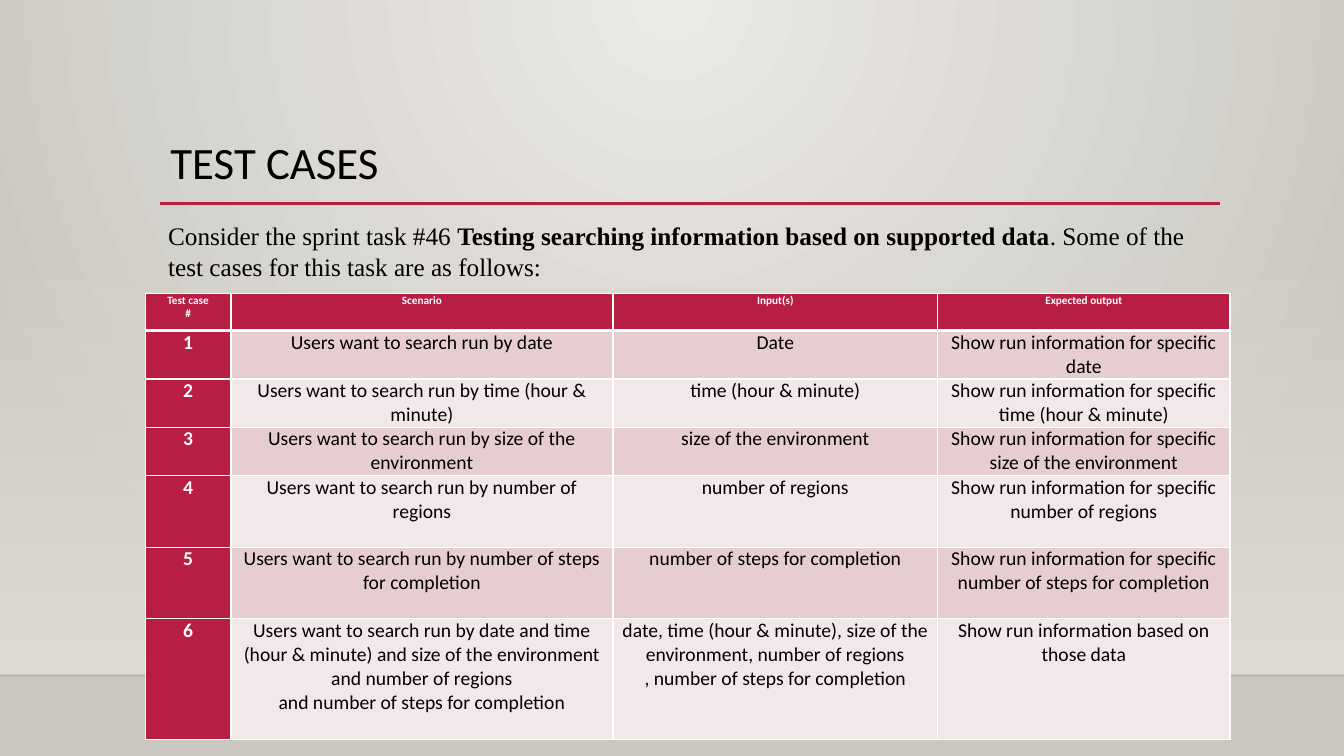
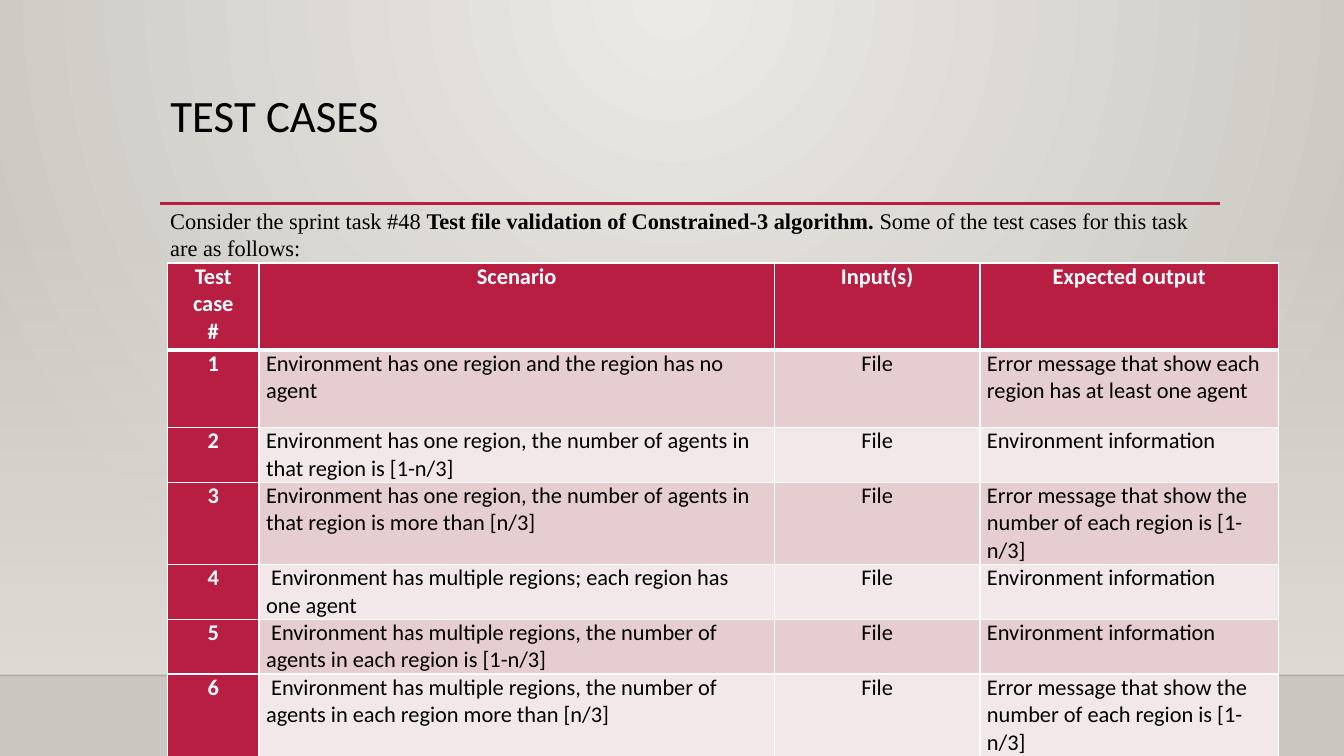
from lxml import etree
from pptx import Presentation
from pptx.dml.color import RGBColor
from pptx.enum import shapes, text
from pptx.oxml import ns
from pptx.util import Inches, Pt

HUES = {"red": "B71E42", "dark": "E6CDCF", "pale": "F3E8E9", "white": "FFFFFF",
        "black": "000000", "glow": "ECEAE7", "edge": "CAC7C1", "wall": "DFDBD5"}
LEFT, MID = text.PP_ALIGN.LEFT, text.PP_ALIGN.CENTER
HEADS = ["Test case\n#", "Scenario", "Input(s)", "Expected output"]

KEYS = ["date", "time (hour & minute)", "size of the environment",
        "number of regions", "number of steps for completion"]
SEARCH = [(f"Users want to search run by {key}",
           "Date" if key == "date" else key,
           f"Show run information for specific {key}") for key in KEYS]
SEARCH.append((
    "Users want to search run by date and time (hour & minute) and size of the "
    "environment and number of regions\nand number of steps for completion",
    "date, time (hour & minute), size of the environment, number of regions\n"
    ", number of steps for completion",
    "Show run information based on those data"))

INFO = "Environment information"
LIMIT = "Error message that show the number of each region is [1-n/3]"
CHECKS = [
    ("Environment has one region and the region has no agent",
     "Error message that show each region has at least one agent"),
    ("Environment has one region, the number of agents in that region is [1-n/3]", INFO),
    ("Environment has one region, the number of agents in that region is more than [n/3]",
     LIMIT),
    (" Environment has multiple regions; each region has one agent", INFO),
    (" Environment has multiple regions, the number of agents in each region is [1-n/3]",
     INFO),
    (" Environment has multiple regions, the number of agents in each region more than [n/3]",
     LIMIT)]

DECK = [
    {"title": 1.35,
     "lead": (1.57, 2.14, 1.01, 18),
     "words": ("Consider the sprint task #46 ",
               "Testing searching information based on supported data",
               ". Some of the test cases for this task are as follows:"),
     "spot": (1.44, 2.91), "cols": [0.85, 3.79, 3.22, 2.9],
     "rows": [0.37, 0.48, 0.48, 0.48, 0.71, 0.71, 1.2],
     "sizes": (8, 14), "pad": 0.05, "aligns": [MID] * 4, "cases": SEARCH},
    {"title": 0.88,
     "lead": (1.59, 2.01, 0.84, 16),
     "words": ("Consider the sprint task #48 ",
               "Test file validation of Constrained-3 algorithm.",
               " Some of the test cases for this task are as follows:"),
     "spot": (1.66, 2.61), "cols": [0.91, 5.11, 2.04, 2.96],
     "rows": [0.86, 0.77, 0.51, 0.77, 0.51, 0.51, 0.77],
     "sizes": (16, 16), "pad": 0.07, "aligns": [MID, LEFT, MID, LEFT],
     "cases": [(case, "File", want) for case, want in CHECKS]}]


def rgb(hue):
    return RGBColor.from_string(HUES[hue])


def apply(item, **form):
    for name, value in form.items():
        setattr(item, name, value)


def style(run, size, hue="black", face="Calibri", bold=False):
    apply(run.font, size=Pt(size), name=face, bold=bold)
    run.font.color.rgb = rgb(hue)


def fade(color, share):
    alpha = etree.SubElement(color, ns.qn("a:alpha"))
    alpha.set("val", str(share * 1000))


def blend(fill, first, last):
    fill.gradient()
    for stop, hue in zip(fill.gradient_stops, (first, last)):
        stop.color.rgb = rgb(hue)


def backdrop(master):
    blend(master.background.fill, "glow", "edge")
    line = next(master.element.iter(ns.qn("a:lin")))
    ring = etree.Element(ns.qn("a:path"), {"path": "circle"})
    etree.SubElement(ring, ns.qn("a:fillToRect"),
                     {"l": "43000", "t": "0", "r": "43000", "b": "100000"})
    line.getparent().replace(line, ring)


def rule(slide, left, right, top, hue, width, share=100):
    line = slide.shapes.add_connector(
        shapes.MSO_CONNECTOR.STRAIGHT,
        Inches(left), Inches(top), Inches(right), Inches(top))
    line.line.width = Pt(width)
    line.line.color.rgb = rgb(hue)
    if share < 100:
        fade(next(line.element.iter(ns.qn("a:srgbClr"))), share)
    etree.SubElement(line.element.find(ns.qn("p:spPr")), ns.qn("a:effectLst"))


def scene(slide):
    wall = slide.shapes.add_shape(shapes.MSO_SHAPE.RECTANGLE, 0, Inches(2.21),
                                  Inches(13.33), Inches(4.49))
    wall.shadow.inherit = False
    wall.line.fill.background()
    blend(wall.fill, "wall", "wall")
    wall.fill.gradient_angle = 270
    fade(next(wall.element.iter(ns.qn("a:srgbClr"))), 0)
    rule(slide, 0, 13.33, 6.7, "black", 1, 20)
    rule(slide, 1.59, 12.1, 2.02, "red", 2.5)


def title(slide, top):
    head = slide.shapes.title
    head.element.getparent().append(head.element)
    apply(head, left=Inches(1.59), top=Inches(top),
          width=Inches(10.5), height=Inches(1.15))
    frame = head.text_frame
    frame.text = "TEST CASES"
    apply(frame, vertical_anchor=text.MSO_ANCHOR.TOP, word_wrap=True,
          auto_size=text.MSO_AUTO_SIZE.NONE)
    apply(frame.paragraphs[0], alignment=LEFT, line_spacing=0.9)
    style(frame.paragraphs[0].runs[0], 32)


def lead(slide, left, top, high, size, words):
    box = slide.shapes.add_textbox(Inches(left), Inches(top),
                                   Inches(10.5), Inches(high))
    box.text_frame.word_wrap = True
    for spot, part in enumerate(words):
        run = box.text_frame.paragraphs[0].add_run()
        run.text = part
        style(run, size, face="Times New Roman", bold=spot == 1)


def border(cell, row):
    props = cell._tc.get_or_add_tcPr()
    thick = {"T": row == 1, "B": row == 0}
    for side in "LRTB":
        width = Pt(3 if thick.get(side) else 1)
        line = etree.SubElement(props, ns.qn("a:ln" + side), {"w": str(width)})
        fill = etree.SubElement(line, ns.qn("a:solidFill"))
        etree.SubElement(fill, ns.qn("a:srgbClr"), {"val": HUES["white"]})


def fill_cell(cell, words, row, col, plan):
    border(cell, row)
    strong = row == 0 or col == 0
    cell.fill.solid()
    cell.fill.fore_color.rgb = rgb("red" if strong else "dark" if row % 2 else "pale")
    pad = Inches(plan["pad"])
    apply(cell, margin_left=pad, margin_right=pad, margin_top=0, margin_bottom=0)
    cell.text_frame.text = words
    for para in cell.text_frame.paragraphs:
        para.alignment = plan["aligns"][col] if row else MID
        for run in para.runs:
            style(run, plan["sizes"][min(row, 1)],
                  "white" if strong else "black", bold=strong)


def grid(slide, plan):
    cols, rows = plan["cols"], plan["rows"]
    left, top = plan["spot"]
    table = slide.shapes.add_table(
        len(rows), len(cols), Inches(left), Inches(top),
        Inches(sum(cols)), Inches(sum(rows))).table
    for col, width in zip(table.columns, cols):
        col.width = Inches(width)
    for row, high in zip(table.rows, rows):
        row.height = Inches(high)
    lines = [HEADS] + [(str(num), *case) for num, case in enumerate(plan["cases"], 1)]
    for row, line in enumerate(lines):
        for col, words in enumerate(line):
            fill_cell(table.cell(row, col), words, row, col, plan)


def main():
    deck = Presentation()
    apply(deck, slide_width=Inches(13.33), slide_height=Inches(7.5))
    backdrop(deck.slide_master)
    for plan in DECK:
        slide = deck.slides.add_slide(deck.slide_layouts[5])
        scene(slide)
        title(slide, plan["title"])
        grid(slide, plan)
        lead(slide, *plan["lead"], plan["words"])
    deck.save("out.pptx")


main()
